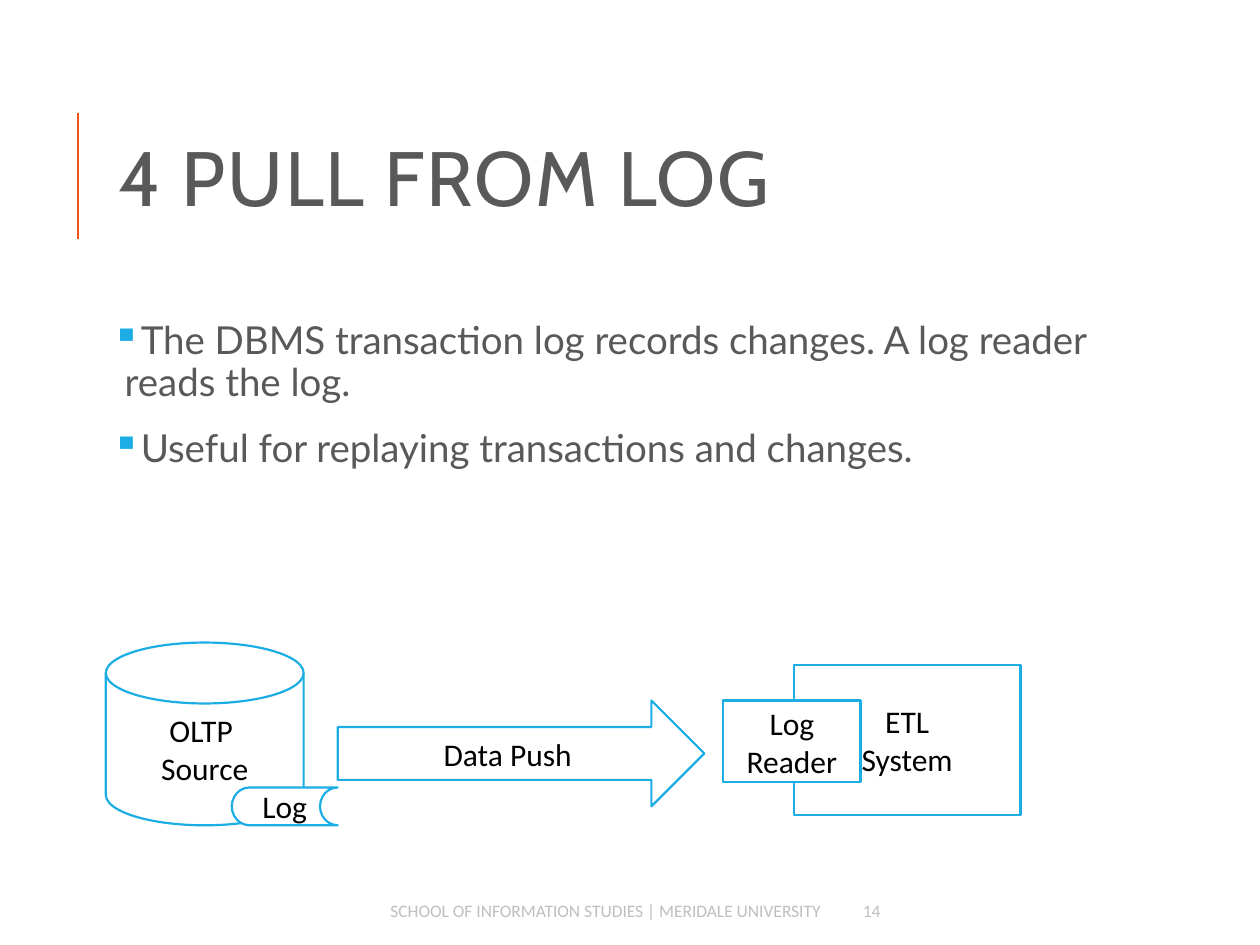
from dataclasses import dataclass

from lxml import etree
from pptx import Presentation
from pptx.dml.color import RGBColor
from pptx.enum.shapes import MSO_CONNECTOR, MSO_SHAPE
from pptx.enum.text import MSO_ANCHOR, PP_ALIGN
from pptx.oxml.ns import qn
from pptx.util import Inches, Pt

LINE = MSO_CONNECTOR.STRAIGHT
DISK = MSO_SHAPE.FLOWCHART_MAGNETIC_DISK
ARROW = MSO_SHAPE.RIGHT_ARROW
RECT = MSO_SHAPE.RECTANGLE
STORE = MSO_SHAPE.FLOWCHART_STORED_DATA
MIDDLE = MSO_ANCHOR.MIDDLE
LEFT, CENTER, RIGHT = PP_ALIGN.LEFT, PP_ALIGN.CENTER, PP_ALIGN.RIGHT


@dataclass(frozen=True)
class Theme:
    accent = RGBColor(0xEE, 0x56, 0x12)
    blue = RGBColor(0x1C, 0xAD, 0xE4)
    gray = RGBColor(0x59, 0x59, 0x59)
    pale = RGBColor(0xBF, 0xBF, 0xBF)
    white = RGBColor(0xFF, 0xFF, 0xFF)
    black = RGBColor(0, 0, 0)
    head, body, label = "Cabin", "Lato", "Calibri"
    title_size, body_size, label_size, foot_size = Pt(44), Pt(22), Pt(18), Pt(10)


THEME = Theme()


def write(shape, text, font, size, color, align=LEFT):
    frame = shape.text_frame
    frame.word_wrap = True
    frame.text = text
    for para in frame.paragraphs:
        para.alignment = align
        for run in para.runs:
            run.font.name = font
            run.font.size = size
            run.font.color.rgb = color
    return frame


def add_text(slide, box, *style):
    return write(slide.shapes.add_textbox(*map(Inches, box)), *style)


def add_title(slide, box, text):
    """Place the title and the upright rule on its left."""
    left, top, _, height = box
    x, mid = left - 0.22, top + height / 2 - 0.06
    rule = slide.shapes.add_connector(
        LINE, Inches(x), Inches(mid + 0.5), Inches(x), Inches(mid - 0.5))
    rule.line.color.rgb = THEME.accent
    rule.line.width = Pt(1.5)
    etree.SubElement(rule._element.spPr, qn("a:effectLst"))

    frame = add_text(slide, box, text, THEME.head, THEME.title_size, THEME.gray)
    frame.vertical_anchor = MIDDLE
    para = frame.paragraphs[0]
    para.line_spacing = 0.8
    para.runs[0].font._element.set("spc", "100")


def add_bullet(para):
    props = para._p.get_or_add_pPr()
    props.set("marL", str(Inches(0.1)))
    props.set("indent", str(-Inches(0.1)))
    color = etree.SubElement(props, qn("a:buClr"))
    etree.SubElement(color, qn("a:srgbClr"), val=str(THEME.blue))
    etree.SubElement(props, qn("a:buChar"), char="▪")


def add_body(slide, box, points):
    frame = add_text(slide, box, "\n".join(points), THEME.body,
                     THEME.body_size, THEME.gray)
    frame.margin_left = frame.margin_right = Inches(0.05)
    frame.margin_top = frame.margin_bottom = Inches(0.05)
    for para in frame.paragraphs:
        para.line_spacing = 0.9
        para.space_before = Pt(12)
        para.space_after = Pt(2)
        add_bullet(para)


def add_flow(slide, box):
    """Draw the log flow from source to target, back to front."""
    left, top, _, _ = box
    parts = [
        (DISK, 0, 0, 1.57, 1.45, "OLTP \vSource"),
        (ARROW, 1.84, 0.46, 2.91, 0.84, "Data Push"),
        (RECT, 5.46, 0.18, 1.8, 1.19, "ETL\nSystem"),
        (RECT, 4.9, 0.46, 1.09, 0.65, "Log Reader"),
        (STORE, 1, 1.15, 0.84, 0.3, "Log"),
    ]
    for kind, x, y, width, height, text in parts:
        shape = slide.shapes.add_shape(
            kind, Inches(left + x), Inches(top + y), Inches(width), Inches(height))
        shape.shadow.inherit = False
        shape.fill.solid()
        shape.fill.fore_color.rgb = THEME.white
        shape.line.color.rgb = THEME.blue
        shape.line.width = Pt(1.25)
        frame = write(shape, text, THEME.label, THEME.label_size,
                      THEME.black, CENTER)
        frame.vertical_anchor = MIDDLE


def add_footer(slide, box, text, number):
    left, top, width, height = box
    cells = [(left, 4.72, text, RIGHT), (left + width - 0.91, 0.91, number, LEFT)]
    for x, wide, words, align in cells:
        frame = add_text(slide, (x, top, wide, height), words, THEME.label,
                         THEME.foot_size, THEME.pale, align)
        frame.vertical_anchor = MIDDLE


def main():
    deck = Presentation()
    deck.slide_width, deck.slide_height = Inches(10), Inches(7.5)
    slide = deck.slides.add_slide(deck.slide_layouts[6])
    add_title(slide, (0.84, 0.64, 7.97, 1.64), "4 PULL FROM LOG")
    add_body(slide, (0.84, 2.5, 7.97, 1.92), [
        "The DBMS transaction log records changes. A log reader reads the log.",
        "Useful for replaying transactions and changes.",
    ])
    add_footer(slide, (1.89, 7.08, 5.77, 0.3),
               "SCHOOL OF INFORMATION STUDIES | MERIDALE UNIVERSITY", "14")
    add_flow(slide, (0.84, 5.1, 7.26, 1.45))
    deck.save("out.pptx")


if __name__ == "__main__":
    main()
